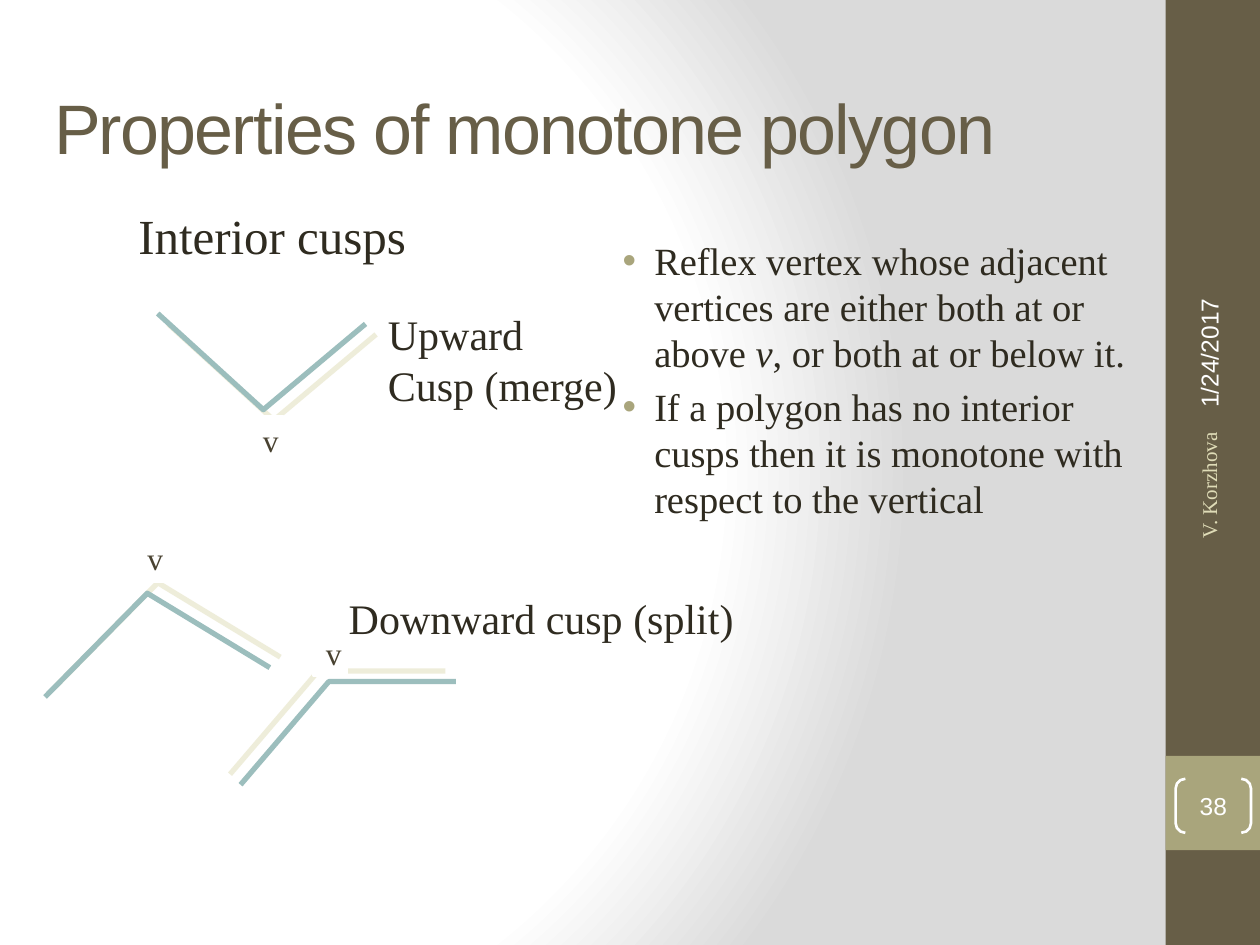
"""Build the slide on the properties of monotone polygons."""
import pptx
import pptx.dml.color
import pptx.enum.shapes
import pptx.enum.text
import pptx.oxml
import pptx.oxml.ns
import pptx.util

Cm, Pt = pptx.util.Cm, pptx.util.Pt
RGB = pptx.dml.color.RGBColor.from_string
SHAPE = pptx.enum.shapes.MSO_SHAPE
ALIGN = pptx.enum.text.PP_ALIGN
MIDDLE = pptx.enum.text.MSO_ANCHOR.MIDDLE
NS = pptx.oxml.ns.nsdecls("a")
SERIF = "Times New Roman"
COLORS = {
    "white": "FFFFFF", "gray": "DADADA", "brown": "675E47", "olive": "A9A57C",
    "ink": "2F2B20", "cusp": "9CBEBD", "cream": "DFDCB7", "label": "494231",
}


def add_box(shape, at, fill=None, line=None, width=1.5):
    sp = s.shapes.add_shape(shape, *[Cm(v) for v in at])
    sp.shadow.inherit = False
    if fill:
        sp.fill.solid()
        sp.fill.fore_color.rgb = RGB(COLORS[fill])
    else:
        sp.fill.background()
    if line:
        sp.line.color.rgb = RGB(COLORS[line])
        sp.line.width = Pt(width)
    else:
        sp.line.fill.background()
    return sp


def add_text(sp, text, size, color, font=SERIF, align=ALIGN.LEFT, middle=False):
    tf = sp.text_frame
    tf.text = text
    if middle:
        tf.vertical_anchor = MIDDLE
    for p in tf.paragraphs:
        p.alignment = align
        for r in p.runs:
            r.font.size = Pt(size)
            r.font.name = font
            r.font.color.rgb = RGB(COLORS[color])
    return tf


prs = pptx.Presentation()
prs.slide_width, prs.slide_height = Cm(25.4), Cm(19.05)
s = prs.slides.add_slide(prs.slide_layouts[6])

s.background.fill.gradient()
grad = s.background.fill._xPr.find(pptx.oxml.ns.qn("a:gradFill"))
stops = "".join(
    f'<a:gs pos="{pos * 1000}"><a:srgbClr val="{COLORS[name]}"/></a:gs>'
    for pos, name in [(0, "white"), (75, "white"), (100, "gray")]
)
grad.getparent().replace(grad, pptx.oxml.parse_xml(
    f'<a:gradFill {NS} rotWithShape="1"><a:gsLst>{stops}</a:gsLst>'
    '<a:path path="circle"><a:fillToRect l="20000" t="50000" r="100000" b="50000"/>'
    '</a:path></a:gradFill>'))

add_box(SHAPE.RECTANGLE, (23.5, 0, 1.9, 19.05), fill="brown")
add_box(SHAPE.RECTANGLE, (23.5, 15.24, 1.9, 1.9), fill="olive")
sp = add_box(SHAPE.DOUBLE_BRACKET, (23.7, 15.7, 1.52, 1.09), line="white")
sp.adjustments[0] = 0.18
tf = add_text(sp, "38", 14, "white", "Arial", ALIGN.CENTER, True)
tf.margin_left = tf.margin_right = tf.margin_top = tf.margin_bottom = 0

for text, at, size, color, font, align in [
    ("1/24/2017", (20.98, 4.57, 6.78, 1.02), 14, "white", "Arial", ALIGN.LEFT),
    ("V. Korzhova", (21.08, 11.25, 6.58, 1.02), 12, "cream", SERIF, ALIGN.RIGHT),
]:
    sp = s.shapes.add_textbox(*[Cm(v) for v in at])
    sp.rotation = 270
    add_text(sp, text, size, color, font, align, True).word_wrap = True

sp = s.shapes.add_textbox(Cm(0.84), Cm(0.97), Cm(21.59), Cm(3.18))
tf = add_text(sp, "Properties of monotone polygon", 40, "brown", "Arial", middle=True)
tf.word_wrap = True
tf.paragraphs[0].runs[0].font._element.set("spc", "-100")

sp = s.shapes.add_textbox(Cm(11.99), Cm(4.65), Cm(11.3), Cm(12.6))
tf = sp.text_frame
tf.word_wrap = True
bullets = [
    ["Reflex vertex whose adjacent vertices are either both at or above ", "v",
     ", or both at or below it."],
    ["If a polygon has no interior cusps then it is monotone with respect to the vertical"],
]
for i, parts in enumerate(bullets):
    p = tf.add_paragraph() if i else tf.paragraphs[0]
    if i:
        p.space_before = Pt(4.4)
    pPr = p._p.get_or_add_pPr()
    pPr.set("marL", str(Cm(0.95)))
    pPr.set("indent", str(-Cm(0.64)))
    for xml in [
        f'<a:buClr {NS}><a:srgbClr val="{COLORS["olive"]}"/></a:buClr>',
        f'<a:buFont {NS} typeface="Arial"/>',
        f'<a:buChar {NS} char="•"/>',
    ]:
        pPr.append(pptx.oxml.parse_xml(xml))
    for text in parts:
        r = p.add_run()
        r.text = text
        r.font.size = Pt(22)
        r.font.name = SERIF
        r.font.italic = text == "v"
        r.font.color.rgb = RGB(COLORS["ink"])

cusps = [
    ([(3.18, 6.32), (5.31, 8.26), (7.37, 6.53)], 45),
    ([(0.91, 14.05), (2.97, 11.96), (5.44, 13.46)], 315),
    ([(4.85, 15.82), (6.63, 13.74), (9.19, 13.74)], 225),
]
for points, angle in cusps:
    start, *rest = [(Cm(x), Cm(y)) for x, y in points]
    fb = s.shapes.build_freeform(*start)
    fb.add_line_segments(rest, close=False)
    sp = fb.convert_to_shape()
    sp.fill.background()
    sp.line.color.rgb = RGB(COLORS["cusp"])
    sp.line.width = Pt(3)
    sp.shadow.inherit = False
    effects = sp._element.spPr.find(pptx.oxml.ns.qn("a:effectLst"))
    effects.append(pptx.oxml.parse_xml(
        f'<a:outerShdw {NS} blurRad="0" dist="{Pt(8.5)}" dir="{angle * 60000}" '
        f'algn="ctr" rotWithShape="0"><a:srgbClr val="{COLORS["cream"]}">'
        '<a:alpha val="50000"/></a:srgbClr></a:outerShdw>'))

for text, at, size, wrap in [
    ("Upward\nCusp (merge)", (7.57, 6.1, 5.18, 2.31), 24, False),
    ("Downward cusp (split)", (6.78, 11.81, 8.36, 1.27), 24, False),
    ("Interior cusps", (2.54, 4.01, 9.58, 1.45), 28, True),
]:
    sp = s.shapes.add_textbox(*[Cm(v) for v in at])
    add_text(sp, text, size, "ink").word_wrap = wrap

for x, y in [(5.05, 8.41), (2.72, 10.8), (6.32, 12.7)]:
    sp = add_box(SHAPE.RECTANGLE, (x, y, 0.66, 0.91), "white", "white", 2.08)
    add_text(sp, "v", 18, "label", align=ALIGN.CENTER, middle=True)

prs.save("out.pptx")
